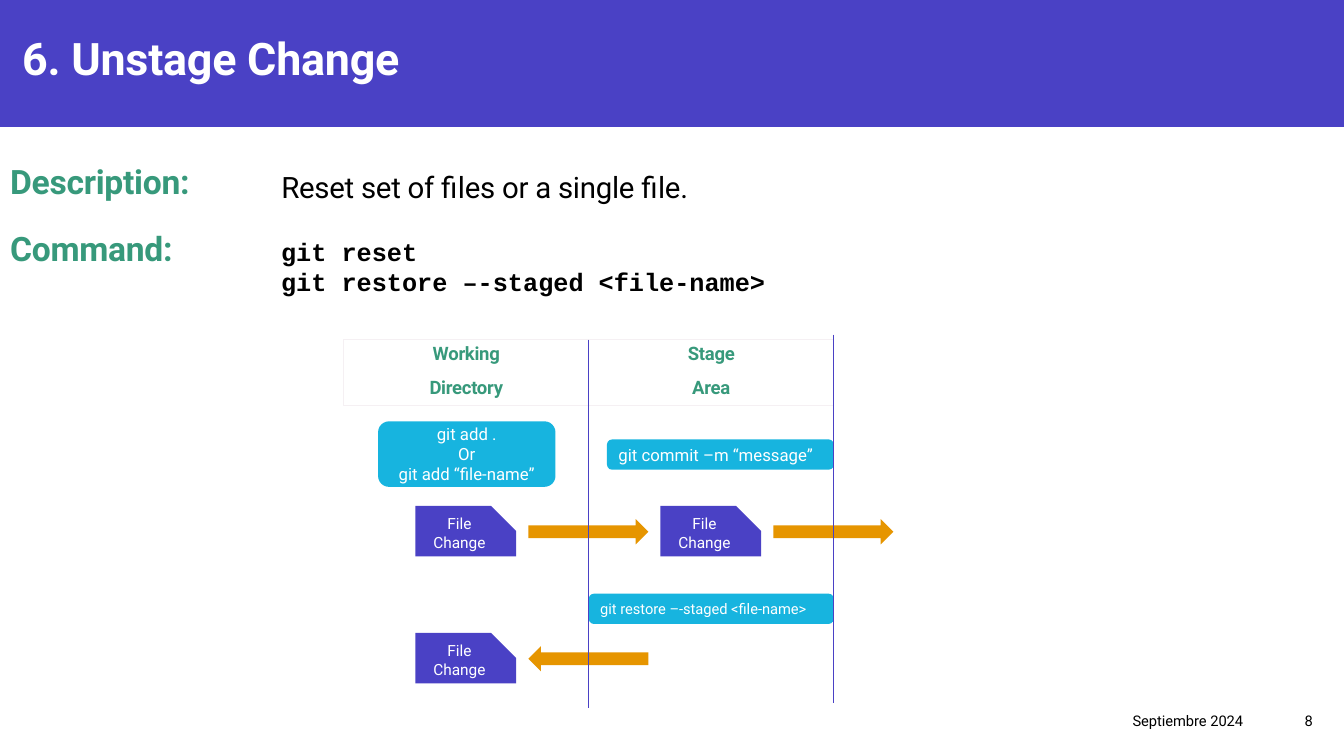
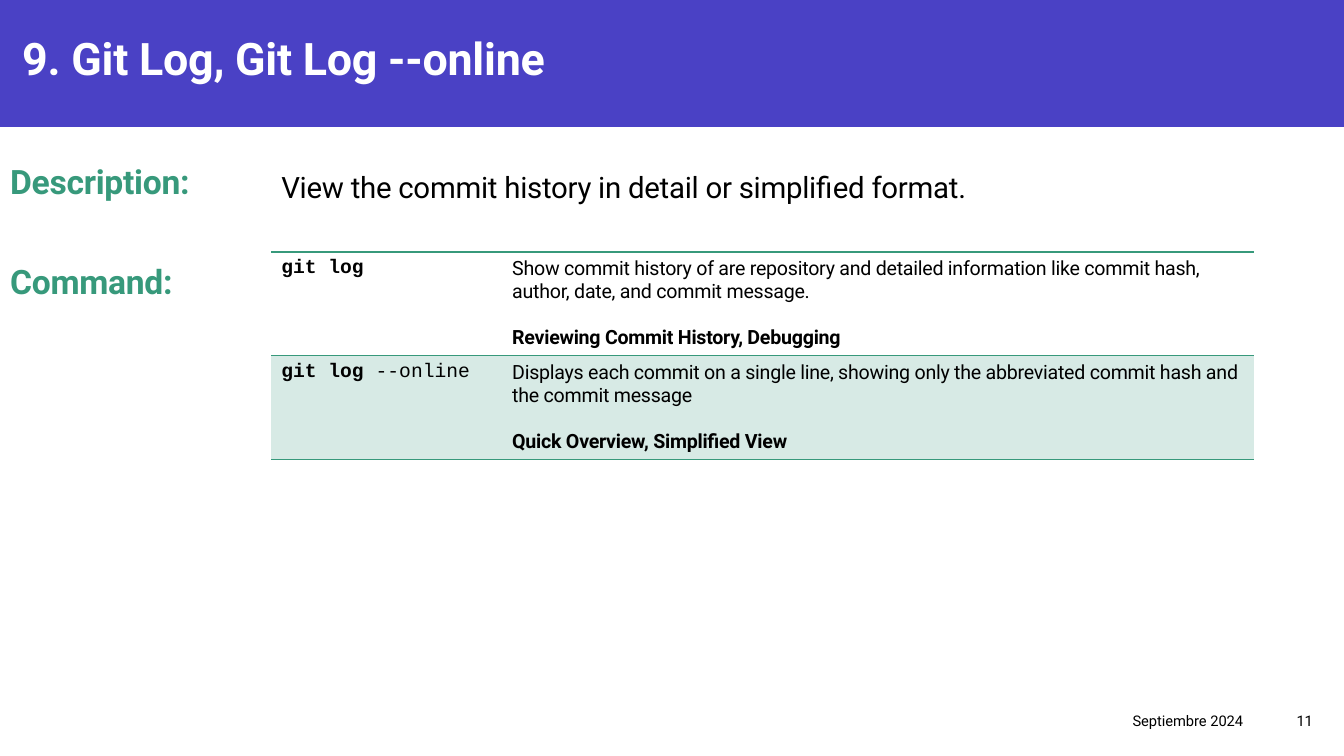
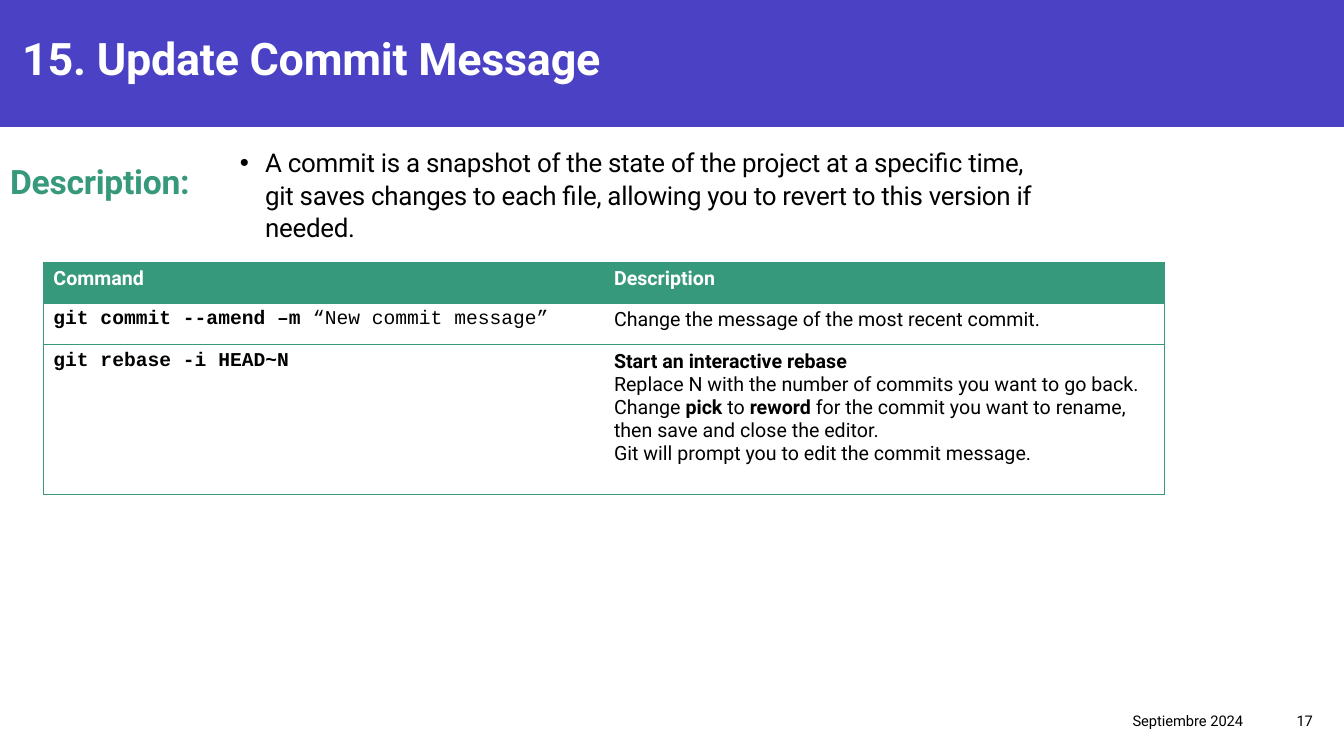
import pptx
import pptx.util
import pptx.dml.color
import pptx.enum.shapes
import pptx.enum.text
import pptx.oxml.ns
from lxml import etree

Inches, Pt = pptx.util.Inches, pptx.util.Pt
SHAPE = pptx.enum.shapes.MSO_SHAPE
ALIGN = pptx.enum.text.PP_ALIGN
ANCHOR = pptx.enum.text.MSO_ANCHOR
qn = pptx.oxml.ns.qn

COLORS = {
    "band": "4A41C5", "accent": "37997B", "tint": "D7EAE5", "arrow": "E69500",
    "command": "17B4DF", "frame": "F5F0F3", "white": "FFFFFF", "black": "000000",
}
SANS, CODE = "Roboto", "Courier New"
NO_TABLE_STYLE = "{2D5ABB26-0587-4C30-8999-92F81FD0307C}"
TIGHT = -0.2
PAGE_WIDTH = 13.33


def rgb(name):
    return pptx.dml.color.RGBColor.from_string(COLORS[name])


def place(shape, box):
    shape.left, shape.top, shape.width, shape.height = map(Inches, box)


def write(frame, paras, size, color="black", font=SANS, bold=False, align=ALIGN.LEFT,
          anchor=ANCHOR.TOP, leading=1.0, gap=0, spacing=0, bullet=None):
    """Fill a frame; each paragraph is a string or a list of (text, bold) spans."""
    frame.word_wrap = True
    frame.vertical_anchor = anchor
    for number, spans in enumerate(paras):
        para = frame.paragraphs[0] if number == 0 else frame.add_paragraph()
        para.alignment = align
        para.line_spacing = leading
        para.space_before = Pt(gap if number else 0)
        props = para._p.get_or_add_pPr()
        props.set("marL", str(Inches(0.25 if bullet else 0)))
        props.set("indent", str(Inches(-0.25 if bullet else 0)))
        if bullet:
            etree.SubElement(props, qn("a:buChar")).set("char", bullet)
        else:
            etree.SubElement(props, qn("a:buNone"))
        for text, strong in [(spans, bold)] if isinstance(spans, str) else spans:
            span = para.add_run()
            span.text = text
            span.font.name = font
            span.font.size = Pt(size)
            span.font.bold = strong
            span.font.color.rgb = rgb(color)
            if spacing:
                span._r.get_or_add_rPr().set("spc", str(round(spacing * 100)))


def fill_placeholder(holder, box, text, size, **style):
    place(holder, box)
    holder.text_frame.auto_size = pptx.enum.text.MSO_AUTO_SIZE.NONE
    write(holder.text_frame, [text], size, spacing=TIGHT, **style)


def text_box(page, box, paras, size, **style):
    shape = page.shapes.add_textbox(*map(Inches, box))
    write(shape.text_frame, paras, size, **style)


def add_block(page, kind, box, fill=None, line=None):
    shape = page.shapes.add_shape(kind, *map(Inches, box))
    shape.shadow.inherit = False
    if fill:
        shape.fill.solid()
        shape.fill.fore_color.rgb = rgb(fill)
    else:
        shape.fill.background()
    if line:
        shape.line.color.rgb = rgb(line)
        shape.line.width = Pt(0.75)
    else:
        shape.line.fill.background()
    return shape


def add_divider(page, x, top, height):
    line = page.shapes.add_connector(pptx.enum.shapes.MSO_CONNECTOR.STRAIGHT,
                                     *map(Inches, (x, top, x, top + height)))
    line.line.color.rgb = rgb("band")
    line.line.width = Pt(0.5)
    etree.SubElement(line.element.spPr, qn("a:effectLst"))


def add_band(layout, page):
    """Draw the title band and move it into the layout, behind everything."""
    band = add_block(page, SHAPE.RECTANGLE, (0, 0, PAGE_WIDTH, 1.26), "band")
    layout.shapes.element.insert(2, band.element)


def add_page(deck, title, number, labels):
    """Add a slide with title, green row labels and footer; labels maps text to its top."""
    page = deck.slides.add_slide(deck.slide_layouts[4])
    holders = {holder.placeholder_format.idx: holder for holder in page.placeholders}
    fill_placeholder(holders[0], (0.12, 0.25, 13, 0.65), title, 32, color="white", bold=True)
    unused = [holders[1], holders[3], holders[4]]
    for text, top in labels.items():
        fill_placeholder(unused.pop(0), (0, top, 3.11, 0.65), text, 24,
                         color="accent", bold=True, leading=1.1)
    for holder in unused:
        holder.element.getparent().remove(holder.element)
    for left, width, text in ((7.67, 4.76, "Septiembre 2024"), (12.43, 0.69, number)):
        text_box(page, (left, 6.95, width, 0.4), [text], 10.5,
                 align=ALIGN.RIGHT, anchor=ANCHOR.MIDDLE)
    return page, holders[2]


def add_summary(holder, text):
    fill_placeholder(holder, (2.69, 1.42, 7.71, 0.84), text, 21,
                     anchor=ANCHOR.MIDDLE, leading=1.1)


def add_stage_diagram(page, left, top):
    """Draw files moving between the working directory and the stage area."""
    column = 2.43
    for index, paras in enumerate((["Working", "Directory"], ["Stage", "Area"])):
        header = add_block(page, SHAPE.RECTANGLE, (left + index * column, top, column, 0.65),
                           line="frame")
        write(header.text_frame, paras, 13.2, "accent", bold=True, align=ALIGN.CENTER,
              leading=0.9, gap=10, spacing=TIGHT)

    commands = (
        ((0.34, 0.81, 1.76, 0.65), ["git add .", "Or", "git add “file-name”"], 12, ALIGN.CENTER),
        ((2.61, 0.99, 2.25, 0.3), ["git commit –m “message”"], 12, ALIGN.LEFT),
        ((column, 2.52, column, 0.3), ["git restore –-staged <file-name>"], 10.5, ALIGN.LEFT),
    )
    for (x, y, width, height), paras, size, align in commands:
        command = add_block(page, SHAPE.ROUNDED_RECTANGLE,
                            (left + x, top + y, width, height), "command")
        write(command.text_frame, paras, size, "white", align=align, anchor=ANCHOR.MIDDLE)

    for index, y, turn in ((0, 1.65, 0), (1, 1.65, 0), (0, 2.91, 180)):
        x = left + index * column
        change = add_block(page, SHAPE.SNIP_1_RECTANGLE, (x + 0.71, top + y, 1, 0.5), "band")
        change.adjustments[0] = 0.5
        write(change.text_frame, ["File Change"], 11, "white",
              align=ALIGN.CENTER, anchor=ANCHOR.BOTTOM)
        arrow = add_block(page, SHAPE.RIGHT_ARROW, (x + 1.83, top + y + 0.13, 1.19, 0.25), "arrow")
        arrow.rotation = turn

    add_divider(page, left + column, top, 3.65)
    add_divider(page, left + 2 * column, top - 0.05, 3.65)


def style_cell(cell, sides, width, fill):
    props = cell._tc.get_or_add_tcPr()
    for side in sides:
        line = etree.SubElement(props, qn("a:ln" + side), w=str(Pt(width)))
        paint = etree.SubElement(line, qn("a:solidFill"))
        etree.SubElement(paint, qn("a:srgbClr"), val=COLORS["accent"])
    if fill:
        cell.fill.solid()
        cell.fill.fore_color.rgb = rgb(fill)
    else:
        cell.fill.background()


def add_command_table(page, left, top, widths, heights, rows, fills, border, boxed=False,
                      header=False, gap=0, spacing=0):
    """Place a two-column table: commands in code type, then their explanation."""
    grid = page.shapes.add_table(len(rows), len(widths), *map(
        Inches, (left, top, sum(widths), sum(heights)))).table
    grid.first_row = grid.horz_banding = False
    grid._tbl.tblPr.find(qn("a:tableStyleId")).text = NO_TABLE_STYLE
    for column, width in zip(grid.columns, widths):
        column.width = Inches(width)
    for r, (height, row, fill) in enumerate(zip(heights, rows, fills)):
        grid.rows[r].height = Inches(height)
        heading = header and r == 0
        for c, paras in enumerate(row):
            cell = grid.cell(r, c)
            sides = ["L", "R"][c:c + 1] if boxed else []
            style_cell(cell, sides + ["T", "B"], border, fill)
            code = c == 0 and not heading
            write(cell.text_frame, paras, 14, "white" if heading else "black",
                  CODE if code else SANS, bold=heading, gap=gap,
                  spacing=0 if code else spacing)


def unstage_slide(deck):
    page, summary = add_page(deck, "6. Unstage Change", "8",
                             {"Description:": 1.51, "Command:": 2.17})
    add_band(page.slide_layout, page)
    add_summary(summary, "Reset set of files or a single file.")
    text_box(page, (2.69, 2.29, 9.24, 0.71),
             ["git reset", "git restore –-staged <file-name>"], 18, font=CODE, bold=True)
    add_stage_diagram(page, 3.41, 3.37)


def log_slide(deck):
    page, summary = add_page(deck, "9. Git Log, Git Log --online", "11",
                             {"Description:": 1.51, "Command:": 2.5})
    add_summary(summary, "View the commit history in detail or simplified format.")
    rows = [
        ([[("git log", True)]],
         ["Show commit history of are repository and detailed information like commit hash, "
          "author, date, and commit message.",
          [("Reviewing Commit History, Debugging", True)]]),
        ([[("git log ", True), ("--online", False)]],
         ["Displays each commit on a single line, showing only the abbreviated commit hash "
          "and the commit message",
          [("Quick Overview, Simplified View", True)]]),
    ]
    add_command_table(page, 2.69, 2.5, [2.29, 7.46], [1.02, 1.02], rows, [None, "tint"],
                      border=1, gap=16.5, spacing=TIGHT)


def message_slide(deck):
    page, summary = add_page(deck, "15. Update Commit Message", "17", {"Description:": 1.51})
    fill_placeholder(summary, (2.28, 1.4, 8.14, 1.08),
                     "A commit is a snapshot of the state of the project at a specific time, "
                     "git saves changes to each file, allowing you to revert to this version "
                     "if needed.", 18.5, leading=1.03, bullet="•")
    rows = [
        (["Command"], ["Description"]),
        ([[("git commit --amend –m ", True), ("“New commit message”", False)]],
         ["Change the message of the most recent commit."]),
        ([[("git rebase -i HEAD~N", True)]],
         [[("Start an interactive rebase", True)],
          "Replace N with the number of commits you want to go back.",
          [("Change ", False), ("pick", True), (" to ", False), ("reword", True),
           (" for the commit you want to rename, then save and close the editor.", False)],
          "Git will prompt you to edit the commit message."]),
    ]
    add_command_table(page, 0.43, 2.6, [5.56, 5.56], [0.41, 0.41, 1.48], rows,
                      ["accent", None, None], border=0.5, boxed=True, header=True)


def main():
    deck = pptx.Presentation()
    deck.slide_width, deck.slide_height = Inches(PAGE_WIDTH), Inches(7.5)
    unstage_slide(deck)
    log_slide(deck)
    message_slide(deck)
    deck.save("out.pptx")


if __name__ == "__main__":
    main()
